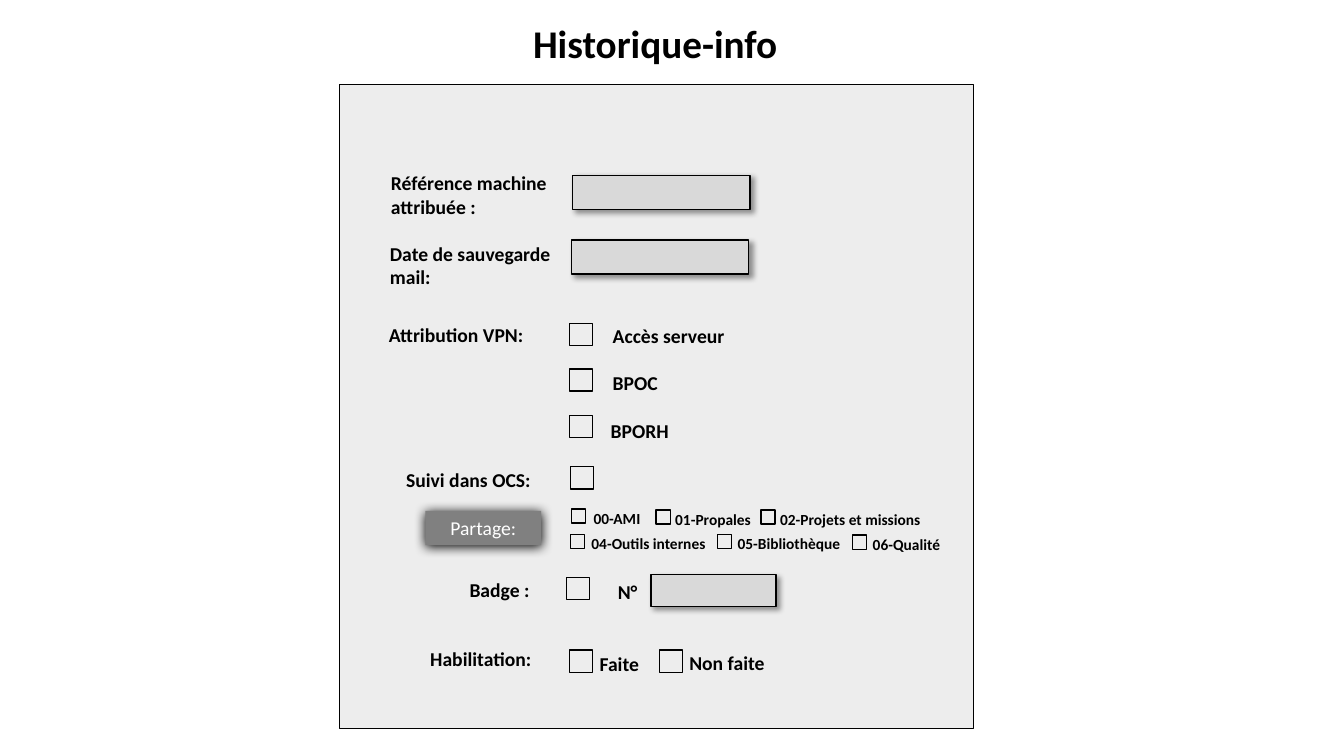
from dataclasses import dataclass

import lxml.etree
import pptx
import pptx.dml.color
import pptx.enum.shapes
import pptx.enum.text
import pptx.oxml.ns
import pptx.util

Pt = pptx.util.Pt
RGB = pptx.dml.color.RGBColor
qn = pptx.oxml.ns.qn

BLACK = RGB(0x00, 0x00, 0x00)
WHITE = RGB(0xFF, 0xFF, 0xFF)
PANEL = RGB(0xED, 0xED, 0xED)
FIELD = RGB(0xD9, 0xD9, 0xD9)
GREY = RGB(0x80, 0x80, 0x80)
FONT = "Calibri"


@dataclass
class Label:
    text: str
    left: float
    top: float
    width: float
    height: float = 24.5
    size: float = 14


@dataclass
class Box:
    left: float
    top: float
    width: float = 16.6
    height: float = 15.8


@dataclass
class Share:
    """A shared folder: its caption and the left edge of its tick box."""
    text: str
    left: float
    top: float
    tick: float
    width: float = 103.7


@dataclass
class Shadow:
    alpha: int
    blur: float
    dist: float
    angle: int


SOFT = Shadow(40, 4, 3, 45)
GLOW = Shadow(100, 8.5, 1, 90)

LABELS = [
    Label("Historique-info", 373.7, 10.1, 261.4, 41, 28),
    Label("Référence machine attribuée :", 272.2, 118.8, 146.2, 41),
    Label("Date de sauvegarde mail:", 271.4, 169.2, 133.2, 41),
    Label("Attribution VPN:", 270.7, 226.8, 146.2),
    Label("Accès serveur", 430.6, 227.5, 103.7),
    Label("BPOC", 430.6, 261.4, 103.7),
    Label("BPORH", 429.1, 295.9, 103.7),
    Label("Suivi dans OCS:", 283, 330.5, 146.2),
    Label("Badge :", 328.3, 409, 90.7),
    Label("N°", 434.2, 410.4, 49.7),
    Label("Habilitation:", 300.2, 458.6, 100.1),
    Label("Faite", 421.2, 462.2, 49.7),
    Label("Non faite", 485.3, 461.5, 103.7),
]

FIELDS = [
    Box(409, 125.3, 126.7, 24.5),
    Box(408.2, 171.4, 126.7, 24.5),
    Box(465.1, 410.4, 89.3, 23),
]

TICKS = [
    Box(406.8, 231.1),
    Box(406.8, 263.5),
    Box(406.8, 296.6),
    Box(407.5, 333.4),
    Box(404.6, 412.6),
    Box(406.8, 464.4),
    Box(470.9, 464.4),
]

SHARES = [
    Share("00-AMI", 416.9, 360, 408.2),
    Share("01-Propales", 475.2, 360.7, 468.7),
    Share("02-Projets et missions", 550.1, 360.7, 543.6, 123.8),
    Share("04-Outils internes", 415.4, 378, 407.5),
    Share("05-Bibliothèque", 519.8, 378, 512.6),
    Share("06-Qualité", 616.3, 378.7, 609.1),
]


def style(frame, size: float, color: RGB, bold: bool) -> None:
    for run in frame.paragraphs[0].runs:
        run.font.name = FONT
        run.font.size = Pt(size)
        run.font.bold = bold
        run.font.color.rgb = color


def write(slide, label: Label) -> None:
    shape = slide.shapes.add_textbox(
        Pt(label.left), Pt(label.top), Pt(label.width), Pt(label.height))
    frame = shape.text_frame
    frame.word_wrap = True
    frame.auto_size = pptx.enum.text.MSO_AUTO_SIZE.SHAPE_TO_FIT_TEXT
    frame.text = label.text
    style(frame, label.size, BLACK, True)


def cast(shape, shadow: Shadow) -> None:
    """Give the shape an outer shadow."""
    effects = shape._element.spPr.find(qn("a:effectLst"))
    outer = lxml.etree.SubElement(
        effects, qn("a:outerShdw"), blurRad=str(int(Pt(shadow.blur))),
        dist=str(int(Pt(shadow.dist))), dir=str(shadow.angle * 60000),
        algn="ctr", rotWithShape="0")
    color = lxml.etree.SubElement(outer, qn("a:srgbClr"), val=str(BLACK))
    lxml.etree.SubElement(color, qn("a:alpha"), val=str(shadow.alpha * 1000))


def draw(slide, box: Box, fill: RGB | None = None, line: RGB | None = BLACK,
         shadow: Shadow | None = None):
    shape = slide.shapes.add_shape(
        pptx.enum.shapes.MSO_SHAPE.RECTANGLE,
        Pt(box.left), Pt(box.top), Pt(box.width), Pt(box.height))
    shape.shadow.inherit = False
    if fill is None:
        shape.fill.background()
    else:
        shape.fill.solid()
        shape.fill.fore_color.rgb = fill
    if line is None:
        shape.line.fill.background()
    else:
        shape.line.color.rgb = line
        shape.line.width = Pt(1)
    if shadow:
        cast(shape, shadow)
    return shape


def badge(slide, text: str, box: Box) -> None:
    """Draw the grey heading of the shared folders."""
    shape = draw(slide, box, GREY, None, GLOW)
    frame = shape.text_frame
    frame.text = text
    frame.vertical_anchor = pptx.enum.text.MSO_ANCHOR.MIDDLE
    frame.paragraphs[0].alignment = pptx.enum.text.PP_ALIGN.CENTER
    style(frame, 14, WHITE, False)


def main() -> None:
    deck = pptx.Presentation()
    deck.slide_width, deck.slide_height = Pt(960), Pt(540)
    slide = deck.slides.add_slide(deck.slide_layouts[6])

    draw(slide, Box(242.6, 60.5, 452.9, 460.1), PANEL)
    for label in LABELS:
        write(slide, label)
    for field in FIELDS:
        draw(slide, field, FIELD, shadow=SOFT)
    for tick in TICKS:
        draw(slide, tick)
    for share in SHARES:
        write(slide, Label(share.text, share.left, share.top,
                           share.width, 20.9, 11))
        draw(slide, Box(share.tick, share.top + 3.6, 10.1, 10.1))
    badge(slide, "Partage:", Box(303.8, 365, 82.8, 24.5))

    deck.save("out.pptx")


if __name__ == "__main__":
    main()
